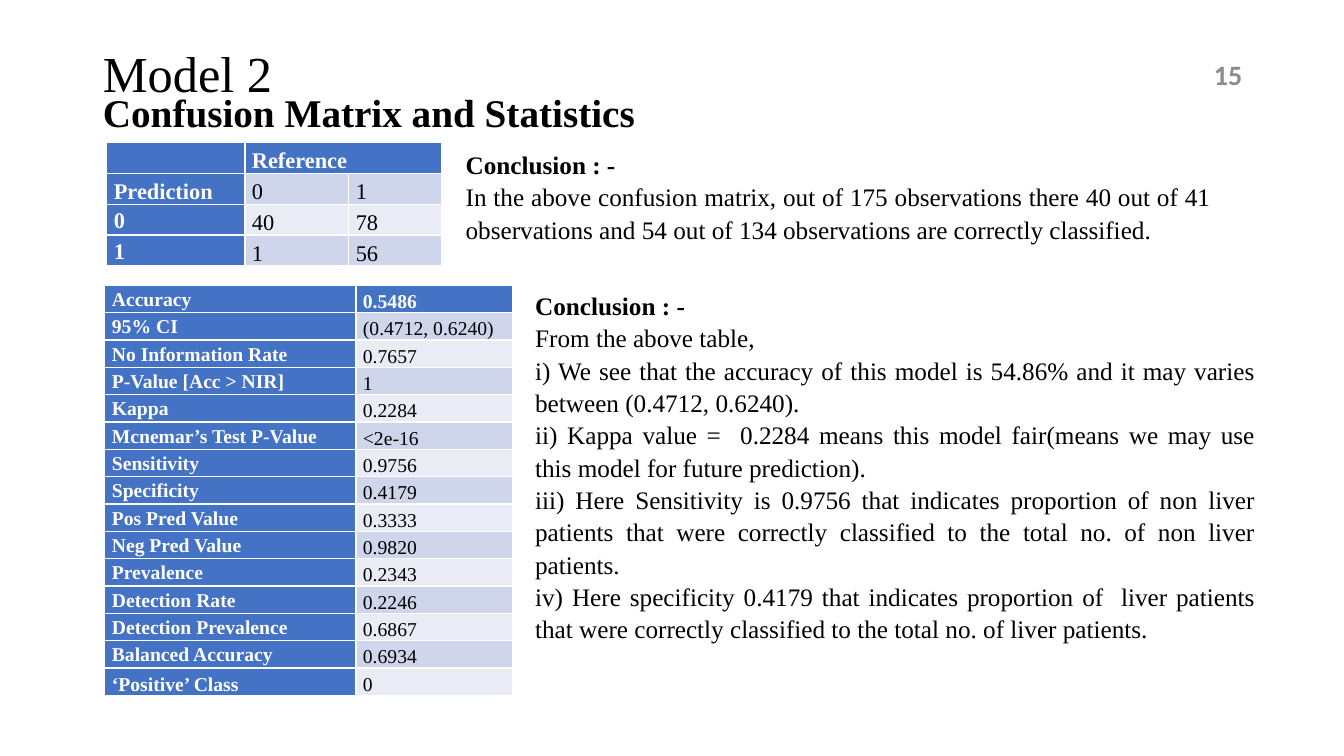
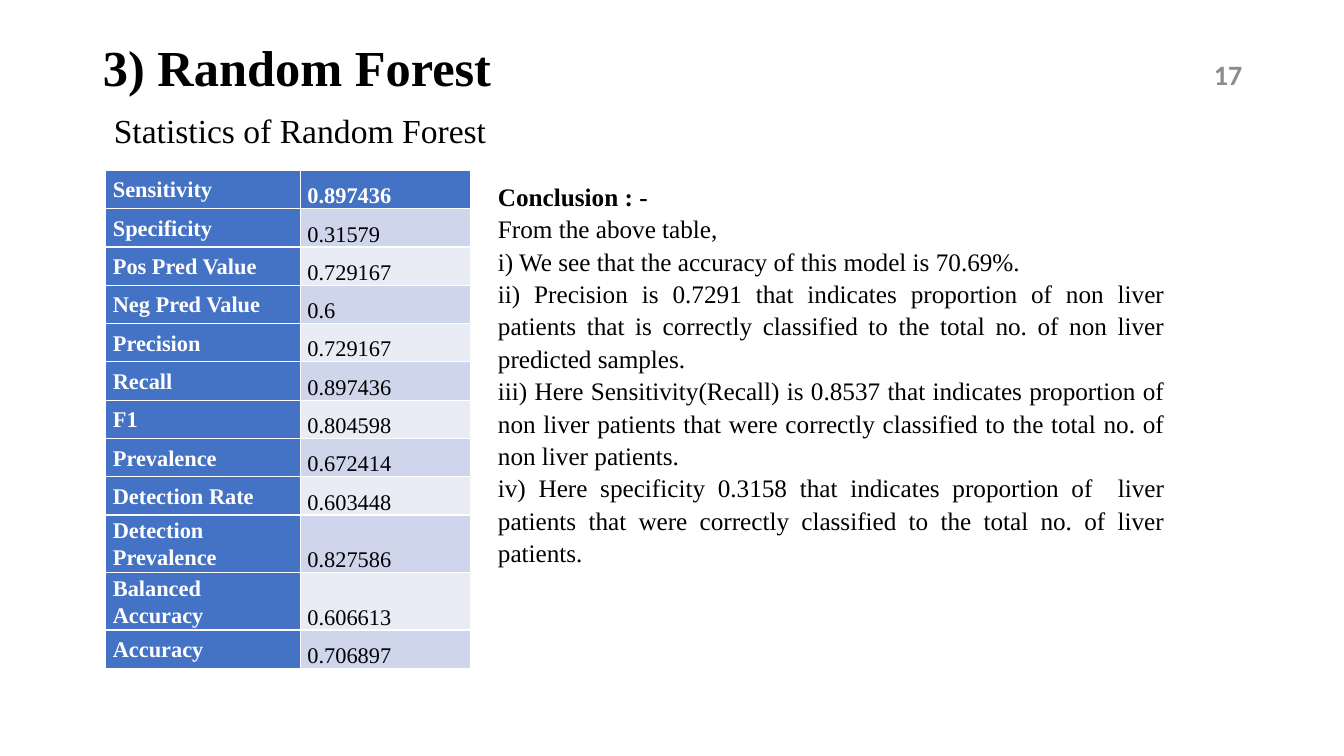
from collections import namedtuple
from dataclasses import dataclass

from lxml.etree import SubElement
from pptx import Presentation
from pptx.dml.color import RGBColor
from pptx.enum.text import MSO_ANCHOR, MSO_AUTO_SIZE, PP_ALIGN
from pptx.oxml.ns import qn
from pptx.util import Inches, Pt

Box = namedtuple("Box", "left top width height")


@dataclass(frozen=True)
class Theme:
    serif: str = "Times New Roman"
    sans: str = "Calibri"
    ink: RGBColor = RGBColor(0, 0, 0)
    white: RGBColor = RGBColor(255, 255, 255)
    grey: RGBColor = RGBColor(0x8C, 0x8C, 0x8C)
    label_fill: RGBColor = RGBColor(0x44, 0x72, 0xC4)
    odd_fill: RGBColor = RGBColor(0xCF, 0xD5, 0xEA)
    even_fill: RGBColor = RGBColor(0xE9, 0xEB, 0xF5)
    title_size: int = 36
    heading_size: int = 28
    subtitle_size: int = 24
    number_size: int = 20
    text_size: int = 18
    table_size: int = 16
    small_table_size: int = 14
    tight: float = 0.9
    loose: float = 1.07


THEME = Theme()
TITLE_AND_BODY, TITLE_ONLY = 1, 5
NUMBER_BOX = Box(9.42, 0.54, 3, 0.4)

CONFUSION_MATRIX = [
    ("", "Reference", ""),
    ("Prediction", "0", "1"),
    ("0", "40", "78"),
    ("1", "1", "56"),
]
MODEL_STATISTICS = [
    ("Accuracy", "0.5486"),
    ("95% CI", "(0.4712, 0.6240)"),
    ("No Information Rate", "0.7657"),
    ("P-Value [Acc > NIR]", "1"),
    ("Kappa", "0.2284"),
    ("Mcnemar’s Test P-Value", "<2e-16"),
    ("Sensitivity", "0.9756"),
    ("Specificity", "0.4179"),
    ("Pos Pred Value", "0.3333"),
    ("Neg Pred Value", "0.9820"),
    ("Prevalence", "0.2343"),
    ("Detection Rate", "0.2246"),
    ("Detection Prevalence", "0.6867"),
    ("Balanced Accuracy", "0.6934"),
    ("‘Positive’ Class", "0"),
]
FOREST_STATISTICS = [
    ("Sensitivity", "0.897436"),
    ("Specificity", "0.31579"),
    ("Pos Pred Value", "0.729167"),
    ("Neg Pred Value", "0.6"),
    ("Precision", "0.729167"),
    ("Recall", "0.897436"),
    ("F1", "0.804598"),
    ("Prevalence", "0.672414"),
    ("Detection Rate", "0.603448"),
    ("Detection Prevalence", "0.827586"),
    ("Balanced Accuracy", "0.606613"),
    ("Accuracy", "0.706897"),
]
LOW_LABELS = {"Prediction", "‘Positive’ Class"}

MATRIX_CONCLUSION = [
    "In the above confusion matrix, out of 175 observations there 40 out of 41 "
    "observations and 54 out of 134 observations are correctly classified.",
]
MODEL_CONCLUSION = [
    "From the above table,",
    "i) We see that the accuracy of this model is 54.86% and it may varies "
    "between (0.4712, 0.6240).",
    "ii) Kappa value =  0.2284 means this model fair(means we may use this model "
    "for future prediction).",
    "iii) Here Sensitivity is 0.9756 that indicates proportion of non liver patients "
    "that were correctly classified to the total no. of non liver patients.",
    "iv) Here specificity 0.4179 that indicates proportion of  liver patients that "
    "were correctly classified to the total no. of liver patients.",
]
FOREST_CONCLUSION = [
    "From the above table,",
    "i) We see that the accuracy of this model is 70.69%.",
    "ii) Precision is 0.7291 that indicates proportion of non liver patients that is "
    "correctly classified to the total no. of non liver predicted samples.",
    "iii) Here Sensitivity(Recall) is 0.8537 that indicates proportion of non liver "
    "patients that were correctly classified to the total no. of non liver patients.",
    "iv) Here specificity 0.3158 that indicates proportion of  liver patients that "
    "were correctly classified to the total no. of liver patients.",
]


def lengths(box):
    return [Inches(value) for value in box]


def style_paragraph(para, size, bold=False, color=THEME.ink, font=THEME.serif,
                    align=PP_ALIGN.LEFT, spacing=1.0):
    para.alignment = align
    para.line_spacing = spacing
    para.space_before = Pt(0)
    for span in para.runs:
        span.font.name = font
        span.font.size = Pt(size)
        span.font.bold = bold
        span.font.color.rgb = color


def fill_placeholder(holder, box, text, size, bold, anchor):
    holder.left, holder.top, holder.width, holder.height = lengths(box)
    frame = holder.text_frame
    frame.text = text
    frame.auto_size = MSO_AUTO_SIZE.NONE
    frame.vertical_anchor = anchor
    style_paragraph(frame.paragraphs[0], size, bold, spacing=THEME.tight)


def add_title(page, box, text, bold=False):
    fill_placeholder(page.shapes.title, box, text, THEME.title_size, bold,
                     MSO_ANCHOR.MIDDLE)


def add_heading(page, box, text):
    """Use the body placeholder as an unbulleted bold heading."""
    holder = page.placeholders[1]
    fill_placeholder(holder, box, text, THEME.heading_size, True, MSO_ANCHOR.TOP)
    properties = holder.text_frame.paragraphs[0]._p.get_or_add_pPr()
    properties.set("marL", "0")
    properties.set("indent", "0")
    SubElement(properties, qn("a:buNone"))


def add_text(page, box, lines, anchor=MSO_ANCHOR.TOP):
    """Add a wrapping text box with one paragraph per line and return its frame."""
    frame = page.shapes.add_textbox(*lengths(box)).text_frame
    frame.word_wrap = True
    frame.vertical_anchor = anchor
    frame.text = "\n".join(lines)
    return frame


def add_page_number(page, number):
    frame = add_text(page, NUMBER_BOX, [str(number)], MSO_ANCHOR.MIDDLE)
    style_paragraph(frame.paragraphs[0], THEME.number_size, True, THEME.grey,
                    THEME.sans, PP_ALIGN.RIGHT)


def add_subtitle(page, box, text):
    frame = add_text(page, box, [text])
    style_paragraph(frame.paragraphs[0], THEME.subtitle_size)


def add_conclusion(page, box, lines):
    frame = add_text(page, box, ["Conclusion : -", *lines])
    for index, para in enumerate(frame.paragraphs):
        style_paragraph(para, THEME.text_size, bold=index == 0,
                        align=PP_ALIGN.JUSTIFY, spacing=THEME.loose)


def style_cell(cell, text, row, column, size):
    """Colour the first row and column as labels and band the other cells."""
    is_label = row == 0 or column == 0
    band = THEME.odd_fill if row % 2 else THEME.even_fill
    cell.fill.solid()
    cell.fill.fore_color.rgb = THEME.label_fill if is_label else band
    cell.margin_left = cell.margin_right = Inches(0.07)
    cell.margin_top = cell.margin_bottom = 0
    is_low = column > 0 or text in LOW_LABELS
    cell.vertical_anchor = MSO_ANCHOR.BOTTOM if is_low else MSO_ANCHOR.MIDDLE
    cell.text = text
    style_paragraph(cell.text_frame.paragraphs[0], size, is_label,
                    THEME.white if is_label else THEME.ink,
                    align=PP_ALIGN.JUSTIFY, spacing=THEME.loose)


def add_grid(page, box, records, widths, size=THEME.table_size):
    table = page.shapes.add_table(len(records), len(widths), *lengths(box)).table
    for column, width in zip(table.columns, widths):
        column.width = Inches(width)
    for row, record in enumerate(records):
        for column, text in enumerate(record):
            style_cell(table.cell(row, column), text, row, column, size)
    return table


def add_page(deck, layout, number):
    page = deck.slides.add_slide(deck.slide_layouts[layout])
    add_page_number(page, number)
    return page


def build_model_page(deck):
    page = add_page(deck, TITLE_AND_BODY, 15)
    add_title(page, Box(0.92, 0.4, 11.5, 0.72), "Model 2")
    add_heading(page, Box(0.92, 0.88, 11.5, 0.5), "Confusion Matrix and Statistics")
    matrix = add_grid(page, Box(1.06, 1.41, 3.32, 1.23), CONFUSION_MATRIX,
                      (1.37, 1.03, 0.92))
    matrix.cell(0, 1).merge(matrix.cell(0, 2))
    add_conclusion(page, Box(4.52, 1.41, 7.59, 1.06), MATRIX_CONCLUSION)
    add_grid(page, Box(1.04, 2.83, 4.04, 4.07), MODEL_STATISTICS, (2.49, 1.55),
             THEME.small_table_size)
    add_conclusion(page, Box(5.21, 2.81, 7.34, 3.37), MODEL_CONCLUSION)


def build_forest_page(deck):
    page = add_page(deck, TITLE_ONLY, 17)
    add_title(page, Box(0.92, 0.4, 11.5, 0.59), "3) Random Forest", bold=True)
    add_subtitle(page, Box(1.03, 1.04, 4.41, 0.5), "Statistics of Random Forest")
    add_grid(page, Box(1.05, 1.69, 3.62, 4.56), FOREST_STATISTICS, (1.93, 1.69))
    add_conclusion(page, Box(4.84, 1.73, 6.81, 3.97), FOREST_CONCLUSION)


def main():
    deck = Presentation()
    deck.slide_width, deck.slide_height = Inches(13.33), Inches(7.5)
    build_model_page(deck)
    build_forest_page(deck)
    deck.save("out.pptx")


if __name__ == "__main__":
    main()
